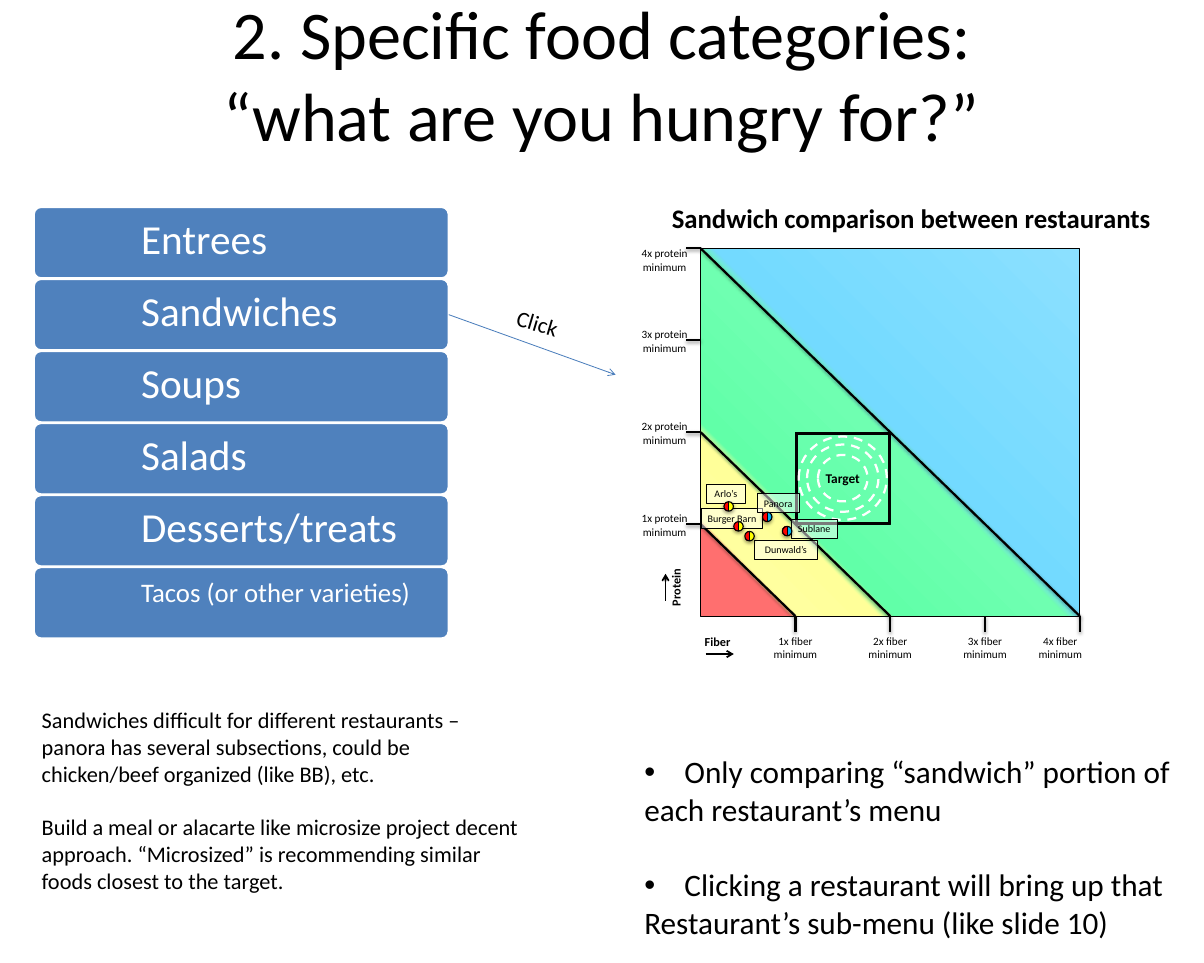
from lxml.etree import SubElement
from pptx import Presentation
from pptx.dml.color import RGBColor
from pptx.enum.dml import MSO_LINE
from pptx.enum.shapes import MSO_CONNECTOR, MSO_SHAPE
from pptx.enum.text import MSO_ANCHOR, MSO_AUTO_SIZE, PP_ALIGN
from pptx.oxml.ns import qn
from pptx.util import Cm, Pt

COLORS = {name: RGBColor.from_string(value) for name, value in {
    "black": "000000", "white": "FFFFFF", "menu": "4F81BD", "arrow": "4B7EBC",
}.items()}
PLOT_STOPS = [(12, "FF6F6F"), (13, "FFFF9F"), (24, "FFFF99"), (26, "61FFA8"),
              (49, "6FFFB1"), (51, "73DAFF"), (100, "8BE0FF")]
MARKER_STOPS = {
    "blue": [(47, "00B0F0"), (48, "00B0F0"), (54, "FF0000")],
    "yellow": [(47, "FFFF00"), (48, "00B0F0"), (54, "FF0000")],
}

presentation = Presentation()
presentation.slide_width, presentation.slide_height = Cm(38.1), Cm(30.48)
slide = presentation.slides.add_slide(presentation.slide_layouts[5])
shapes = slide.shapes
gradients = []
shadowed = []


def write_text(shape, texts, size, color="black", bold=False, align=PP_ALIGN.LEFT, wrap=True):
    """Put each text in a paragraph of its own and return the text frame."""
    frame = shape.text_frame
    frame.word_wrap = wrap
    for number, text in enumerate(texts):
        paragraph = frame.add_paragraph() if number else frame.paragraphs[0]
        paragraph.alignment = align
        run = paragraph.add_run()
        run.text = text
        run.font.name, run.font.size, run.font.bold = "Calibri", Pt(size), bold
        run.font.color.rgb = COLORS[color]
    return frame


def add_line(x1, y1, x2, y2, width=2, color="black", arrow=False, shadow=False):
    line = shapes.add_connector(MSO_CONNECTOR.STRAIGHT, Cm(x1), Cm(y1), Cm(x2), Cm(y2))
    line.line.color.rgb = COLORS[color]
    line.line.width = Pt(width)
    properties = line._element.spPr
    if arrow:
        SubElement(properties.find(qn("a:ln")), qn("a:tailEnd"), type="arrow")
    SubElement(properties, qn("a:effectLst"))
    if shadow:
        shadowed.append(line)
    return line


# Title
title = shapes.title
title.left, title.top, title.width, title.height = Cm(1.9), Cm(1.65), Cm(34.3), Cm(1.32)
title_frame = title.text_frame
title_frame.auto_size = MSO_AUTO_SIZE.NONE
title_frame.vertical_anchor = MSO_ANCHOR.MIDDLE
title_paragraph = title_frame.paragraphs[0]
title_paragraph.alignment = PP_ALIGN.CENTER
for number, text in enumerate(["2. Specific food categories:", "“what are you hungry for?”"]):
    if number:
        title_paragraph.add_line_break()
    run = title_paragraph.add_run()
    run.text = text
    run.font.name, run.font.size = "Calibri", Pt(61.2)
    run.font.color.rgb = COLORS["black"]

# Menu of food categories
categories = ["Entrees", "Sandwiches", "Soups", "Salads", "Desserts/treats",
              "Tacos (or other varieties)"]
menu = {}
for row, category in enumerate(categories):
    box = shapes.add_shape(MSO_SHAPE.ROUNDED_RECTANGLE, Cm(1.07), Cm(6.55 + 2.28 * row),
                           Cm(13.13), Cm(2.26))
    box.adjustments[0] = 0.1
    box.shadow.inherit = False
    box.fill.solid()
    box.fill.fore_color.rgb = COLORS["menu"]
    box.line.color.rgb = COLORS["white"]
    box.line.width = Pt(2)
    frame = write_text(box, [category], 24 if category.startswith("Tacos") else 37, "white")
    frame.vertical_anchor = MSO_ANCHOR.TOP
    frame.margin_left, frame.margin_top = Cm(3.33), Cm(0.31)
    frame.paragraphs[0].line_spacing = 0.9
    menu[category] = box

# Plot area with its zones
LEFT, BOTTOM, STEP_X, STEP_Y = 22.17, 19.5, 3.0, 2.91
plot = shapes.add_shape(MSO_SHAPE.RECTANGLE, Cm(LEFT), Cm(BOTTOM - 4 * STEP_Y),
                        Cm(4 * STEP_X), Cm(4 * STEP_Y))
plot.shadow.inherit = False
plot.line.color.rgb = COLORS["black"]
plot.line.width = Pt(0.75)
gradients.append((plot, PLOT_STOPS, 315))
for level in (1, 2, 4):
    add_line(LEFT, BOTTOM - level * STEP_Y, LEFT + level * STEP_X, BOTTOM, shadow=True)

# Axis ticks and labels
for level in range(1, 5):
    x, y = LEFT + level * STEP_X, BOTTOM - level * STEP_Y
    add_line(x, BOTTOM, x, BOTTOM + 0.5, shadow=True)
    add_line(LEFT, y, LEFT - 0.45, y, shadow=True)
    last = level == 4
    for nutrient, label_x, label_y in (
            ("fiber", x - (1.75 if last else 1.13), BOTTOM + 0.44),
            ("protein", LEFT - 2.27, y - (0.18 if last else 0.52))):
        label = shapes.add_textbox(Cm(label_x), Cm(label_y), Cm(2.26), Cm(1.12))
        write_text(label, [f"{level}x {nutrient} minimum"], 10, align=PP_ALIGN.CENTER)

# Axis titles, chart title and click label
for text, x, y, width, height, size, bold, rotation in (
        ("Fiber", 22.05, 19.96, 1.32, 0.74, 11, True, 0),
        ("Protein", 20.55, 18.21, 1.7, 0.74, 11, True, 270),
        ("Sandwich comparison between restaurants", 21.01, 6.27, 15.82, 1.27, 24, True, 0),
        ("Click", 16.1, 9.68, 1.85, 1.12, 20, False, 16.7)):
    label = shapes.add_textbox(Cm(x), Cm(y), Cm(width), Cm(height))
    label.rotation = rotation
    write_text(label, [text], size, bold=bold, wrap=False)
add_line(21.06, 19.02, 21.06, 18.16, width=1.5, arrow=True)
add_line(22.33, 20.7, 23.22, 20.7, width=1.5, arrow=True)
click_arrow = add_line(14.2, 9.96, 19.48, 11.86, width=0.75, color="arrow", arrow=True)
click_arrow.begin_connect(menu["Sandwiches"], 3)

# Target
target_frame = shapes.add_shape(MSO_SHAPE.FRAME, Cm(LEFT + STEP_X), Cm(BOTTOM - 2 * STEP_Y),
                                Cm(STEP_X), Cm(STEP_Y))
target_frame.adjustments[0] = 0.021
target_frame.shadow.inherit = False
target_frame.fill.solid()
target_frame.fill.fore_color.rgb = COLORS["black"]
target_frame.line.color.rgb = COLORS["black"]
target_frame.line.width = Pt(0.75)
for width, height in ((1.57, 1.47), (2.26, 2.13), (2.79, 2.64)):
    ring = shapes.add_shape(MSO_SHAPE.OVAL, Cm(LEFT + 1.5 * STEP_X - width / 2),
                            Cm(BOTTOM - 1.5 * STEP_Y - height / 2), Cm(width), Cm(height))
    ring.shadow.inherit = False
    ring.fill.background()
    ring.line.color.rgb = COLORS["white"]
    ring.line.width = Pt(2)
    ring.line.dash_style = MSO_LINE.DASH
write_text(ring, ["Target"], 12, bold=True, align=PP_ALIGN.CENTER, wrap=False)

# Restaurants: label left, top and width, then marker centre and colour
restaurants = [
    ("Burger Barn", 22.2, 16.1, 1.93, 23.37, 16.66, "yellow"),
    ("Dunwald’s", 23.88, 17.09, 1.98, 23.72, 16.97, "yellow"),
    ("Panora", 23.95, 15.62, 1.35, 24.28, 16.36, "blue"),
    ("Sublane", 25.04, 16.43, 1.45, 24.91, 16.81, "blue"),
    ("Arlo’s", 22.35, 15.32, 1.24, 23.06, 16.03, "yellow"),
]
for name, x, y, width, *_ in restaurants:
    label = shapes.add_shape(MSO_SHAPE.RECTANGLE, Cm(x), Cm(y), Cm(width), Cm(0.61))
    label.shadow.inherit = False
    label.fill.solid()
    label.fill.fore_color.rgb = COLORS["white"]
    SubElement(label._element.spPr.find(qn("a:solidFill"))[0], qn("a:alpha"), val="48000")
    label.line.color.rgb = COLORS["black"]
    label.line.width = Pt(0.5)
    frame = write_text(label, [name], 9, align=PP_ALIGN.CENTER, wrap=False)
    frame.margin_left = frame.margin_right = Cm(0.2)
    frame.margin_top = frame.margin_bottom = Cm(0.1)
for *_, x, y, marker_color in restaurants:
    marker = shapes.add_shape(MSO_SHAPE.OVAL, Cm(x - 0.15), Cm(y - 0.15), Cm(0.3), Cm(0.3))
    marker.shadow.inherit = False
    marker.line.color.rgb = COLORS["black"]
    marker.line.width = Pt(1)
    gradients.append((marker, MARKER_STOPS[marker_color], 180))
    shadowed.append(marker)
    add_line(x, y - 0.15, x, y + 0.15, width=1)

# Gradient fills and shadows
for shape, stops, angle in gradients:
    shape.fill.gradient()
    fill = shape._element.spPr.find(qn("a:gradFill"))
    for child in list(fill):
        fill.remove(child)
    stop_list = SubElement(fill, qn("a:gsLst"))
    for position, color in stops:
        stop = SubElement(stop_list, qn("a:gs"), pos=str(position * 1000))
        SubElement(stop, qn("a:srgbClr"), val=color)
    SubElement(fill, qn("a:lin"), ang=str(angle * 60000), scaled="0")
for shape in shadowed:
    effects = shape._element.spPr.find(qn("a:effectLst"))
    shadow = SubElement(effects, qn("a:outerShdw"), blurRad=str(Pt(3.1)), dist=str(Pt(1.6)),
                        dir="5400000", rotWithShape="0")
    shadow_color = SubElement(shadow, qn("a:srgbClr"), val="000000")
    SubElement(shadow_color, qn("a:alpha"), val="38000")

# Remarks
remarks = shapes.add_textbox(Cm(20.14), Cm(23.7), Cm(17.55), Cm(6.25))
remark_frame = write_text(remarks, [
    "Only comparing “sandwich” portion of", "each restaurant’s menu",
    "Clicking a restaurant will bring up that", "Restaurant’s sub-menu (like slide 10)"], 28)
for paragraph in remark_frame.paragraphs[::2]:
    properties = paragraph._p.get_or_add_pPr()
    properties.set("marL", str(Cm(1.27)))
    properties.set("indent", str(-Cm(1.27)))
    SubElement(properties, qn("a:buFont"), typeface="Arial")
    SubElement(properties, qn("a:buChar"), char="•")
remark_frame.paragraphs[2].space_before = Pt(34)

ideas = shapes.add_textbox(Cm(1.07), Cm(22.23), Cm(15.75), Cm(6.25))
idea_frame = write_text(ideas, [
    "Sandwiches difficult for different restaurants – panora has several subsections, "
    "could be chicken/beef organized (like BB), etc.",
    "Build a meal or alacarte like microsize project decent approach. “Microsized” is "
    "recommending similar foods closest to the target."], 20)
idea_frame.paragraphs[1].space_before = Pt(24)

presentation.save("out.pptx")
